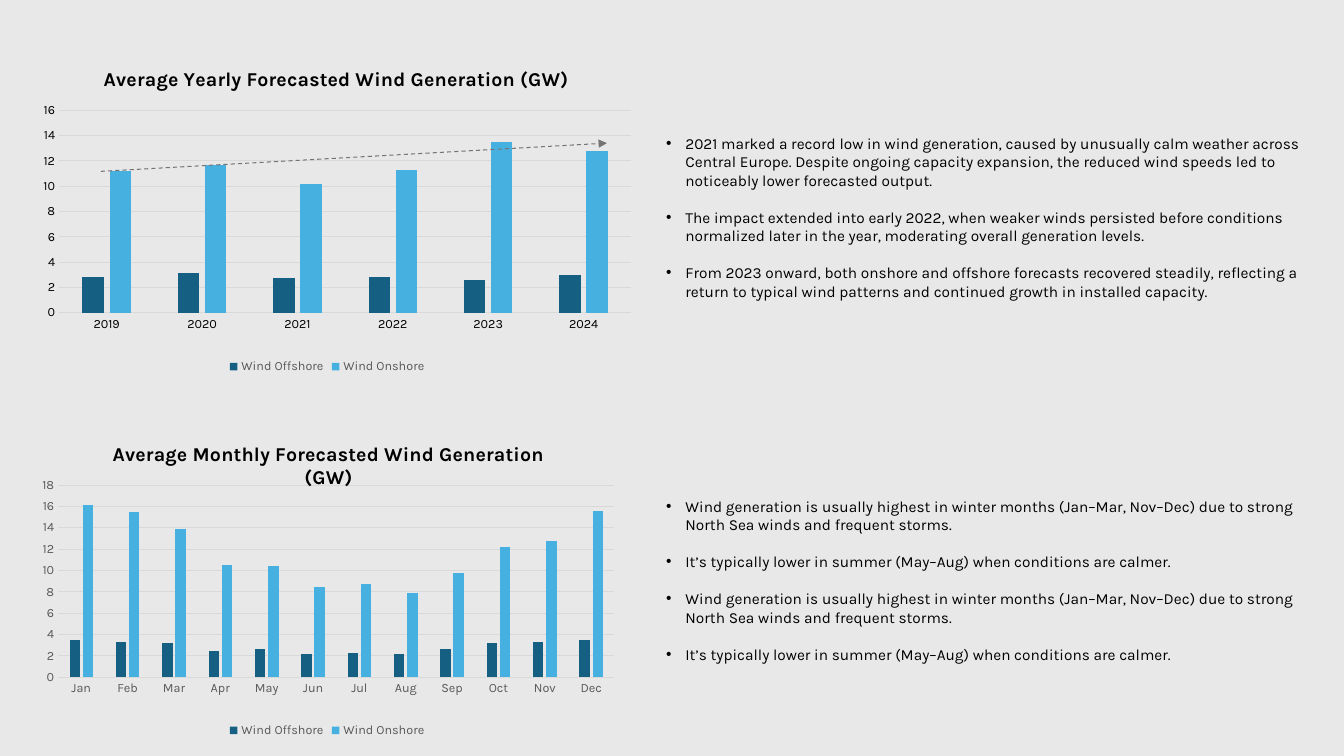
import pptx
import pptx.chart.data
import pptx.dml.color
import pptx.enum.chart
import pptx.enum.dml
import pptx.enum.shapes
import pptx.oxml
import pptx.oxml.ns
import pptx.util
from pptx.util import Inches

FONT = "Karla"
BLACK, GRAY, GRID = "000000", "595959", "D9D9D9"
SERIES_COLORS = {"Wind Offshore": "156082", "Wind Onshore": "46B1E1"}
WINTER = (
    "Wind generation is usually highest in winter months (Jan–Mar, Nov–Dec) "
    "due to strong North Sea winds and frequent storms."
)
SUMMER = "It’s typically lower in summer (May–Aug) when conditions are calmer."
YEARLY_NOTES = [
    "2021 marked a record low in wind generation, caused by unusually calm weather across "
    "Central Europe. Despite ongoing capacity expansion, the reduced wind speeds led to "
    "noticeably lower forecasted output.",
    "The impact extended into early 2022, when weaker winds persisted before conditions "
    "normalized later in the year, moderating overall generation levels.",
    "From 2023 onward, both onshore and offshore forecasts recovered steadily, reflecting a "
    "return to typical wind patterns and continued growth in installed capacity.",
]
YEARLY = {
    "title": "Average Yearly Forecasted Wind Generation (GW)",
    "title_at": (0.135, 0.01),
    "plot": (0.069, 0.16, 0.92, 0.635),
    "axis_color": BLACK,
    "maximum": 16,
    "categories": [str(year) for year in range(2019, 2025)],
    "values": [
        [2.8, 3.1, 2.7, 2.8, 2.6, 3],
        [11.2, 11.7, 10.2, 11.3, 13.5, 12.8],
    ],
}
MONTHLY = {
    "title": "Average Monthly Forecasted Wind Generation (GW)",
    "title_at": (0.14, 0.085),
    "plot": (0.056, 0.228, 0.918, 0.578),
    "axis_color": GRAY,
    "maximum": 18,
    "categories": "Jan Feb Mar Apr May Jun Jul Aug Sep Oct Nov Dec".split(),
    "values": [
        [3.5, 3.3, 3.2, 2.5, 2.6, 2.2, 2.3, 2.2, 2.6, 3.2, 3.3, 3.5],
        [16.1, 15.5, 13.9, 10.5, 10.4, 8.4, 8.7, 7.9, 9.8, 12.2, 12.8, 15.6],
    ],
}


def color(value):
    """Return an RGB colour from a hex string."""
    return pptx.dml.color.RGBColor.from_string(value)


def apply_format(target, values):
    """Set the attributes of an object from a dict."""
    for name, value in values.items():
        setattr(target, name, value)


def style_font(font, size, hex_color, bold=False):
    """Give a font its name, size, weight and colour."""
    apply_format(font, {"name": FONT, "size": pptx.util.Pt(size), "bold": bold})
    font.color.rgb = color(hex_color)


def style_line(line, hex_color):
    """Give a line its colour and thin width."""
    line.color.rgb = color(hex_color)
    line.width = pptx.util.Pt(0.75)


def set_layout(parent, position, target=None):
    """Place a chart title or plot area by fractions of the chart."""
    names = "xywh"[:len(position)]
    inner = f'<c:layoutTarget val="{target}"/>' if target else ""
    inner += "".join(f'<c:{name}Mode val="edge"/>' for name in names[:2])
    inner += "".join(f'<c:{name} val="{value}"/>' for name, value in zip(names, position))
    layout = pptx.oxml.parse_xml(
        f'<c:layout {pptx.oxml.ns.nsdecls("c")}><c:manualLayout>{inner}</c:manualLayout></c:layout>'
    )
    for old in parent.findall(pptx.oxml.ns.qn("c:layout")):
        parent.remove(old)
    text = parent.find(pptx.oxml.ns.qn("c:tx"))
    parent.insert(0 if text is None else 1, layout)


def style_axes(chart, content):
    """Format both axes and the gridlines."""
    tick = pptx.enum.chart.XL_TICK_MARK.NONE
    for axis in (chart.category_axis, chart.value_axis):
        apply_format(axis, {"major_tick_mark": tick, "minor_tick_mark": tick})
        style_font(axis.tick_labels.font, 9, content["axis_color"])
    style_line(chart.category_axis.format.line, GRID)
    value_axis = chart.value_axis
    apply_format(value_axis, {
        "minimum_scale": 0,
        "maximum_scale": content["maximum"],
        "major_unit": 2,
        "has_major_gridlines": True,
    })
    value_axis.format.line.fill.background()
    style_line(value_axis.major_gridlines.format.line, GRID)


def add_column_chart(slide, position, content):
    """Add a clustered column chart with title and legend."""
    data = pptx.chart.data.CategoryChartData()
    data.categories = content["categories"]
    for name, values in zip(SERIES_COLORS, content["values"]):
        data.add_series(name, values)
    chart_type = pptx.enum.chart.XL_CHART_TYPE.COLUMN_CLUSTERED
    chart = slide.shapes.add_chart(chart_type, *map(Inches, position), data).chart
    style_font(chart.font, 10, BLACK)
    chart.has_legend = True
    apply_format(chart.legend, {
        "position": pptx.enum.chart.XL_LEGEND_POSITION.BOTTOM,
        "include_in_layout": False,
    })
    style_font(chart.legend.font, 9, GRAY)
    title = chart.chart_title
    title.text_frame.text = content["title"]
    style_font(title.text_frame.paragraphs[0].runs[0].font, 14, BLACK, True)
    title.include_in_layout = False
    style_axes(chart, content)
    plot = chart.plots[0]
    apply_format(plot, {"gap_width": 219, "overlap": -27, "vary_by_categories": False})
    for series in plot.series:
        series.format.fill.solid()
        series.format.fill.fore_color.rgb = color(SERIES_COLORS[series.name])
    set_layout(title.element if hasattr(title, "element") else title._element, content["title_at"])
    set_layout(chart.element.chart.plotArea if hasattr(chart, "element")
               else chart._chartSpace.chart.plotArea, content["plot"], "inner")


def add_bullets(slide, position, notes, top_margin):
    """Add a text box of spaced bullet points."""
    frame = slide.shapes.add_textbox(*map(Inches, position)).text_frame
    apply_format(frame, {"word_wrap": True, "margin_top": Inches(top_margin)})
    for index, note in enumerate(notes):
        paragraph = frame.paragraphs[0] if index == 0 else frame.add_paragraph()
        run = paragraph.add_run()
        run.text = note
        style_font(run.font, 11, BLACK)
        if index:
            paragraph.space_before = pptx.util.Pt(13.2)
        properties = paragraph._p.get_or_add_pPr()
        indent = Inches(0.19)
        properties.set("marL", str(indent))
        properties.set("indent", str(-indent))
        for tag in ('buFont {} typeface="Arial"', 'buChar {} char="•"'):
            properties.append(pptx.oxml.parse_xml(f"<a:{tag.format(pptx.oxml.ns.nsdecls('a'))}/>"))


def add_trend_arrow(slide, start, end):
    """Add a thin dashed arrow."""
    straight = pptx.enum.shapes.MSO_CONNECTOR.STRAIGHT
    arrow = slide.shapes.add_connector(straight, *map(Inches, start + end))
    style_line(arrow.line, "747474")
    arrow.line.dash_style = pptx.enum.dml.MSO_LINE.DASH
    namespace = pptx.oxml.ns.nsdecls("a")
    arrow.line._get_or_add_ln().append(
        pptx.oxml.parse_xml(f'<a:tailEnd {namespace} type="triangle"/>'))
    arrow._element.spPr.append(pptx.oxml.parse_xml(f"<a:effectLst {namespace}/>"))


def main():
    """Build and save the slide."""
    presentation = pptx.Presentation()
    apply_format(presentation, {"slide_width": Inches(13.33), "slide_height": Inches(7.5)})
    slide = presentation.slides.add_slide(presentation.slide_layouts[6])
    slide.background.fill.solid()
    slide.background.fill.fore_color.rgb = color("E8E8E8")
    add_bullets(slide, (6.51, 1.1, 6.67, 2.14), YEARLY_NOTES, 0.23)
    add_column_chart(slide, (0.16, 0.59, 6.17, 3.16), YEARLY)
    add_bullets(slide, (6.51, 4.88, 6.83, 1.95), [WINTER, SUMMER] * 2, 0.05)
    add_column_chart(slide, (0.24, 4.06, 6.01, 3.3), MONTHLY)
    add_trend_arrow(slide, (1, 1.7), (6.02, 1.42))
    presentation.save("out.pptx")


if __name__ == "__main__":
    main()
